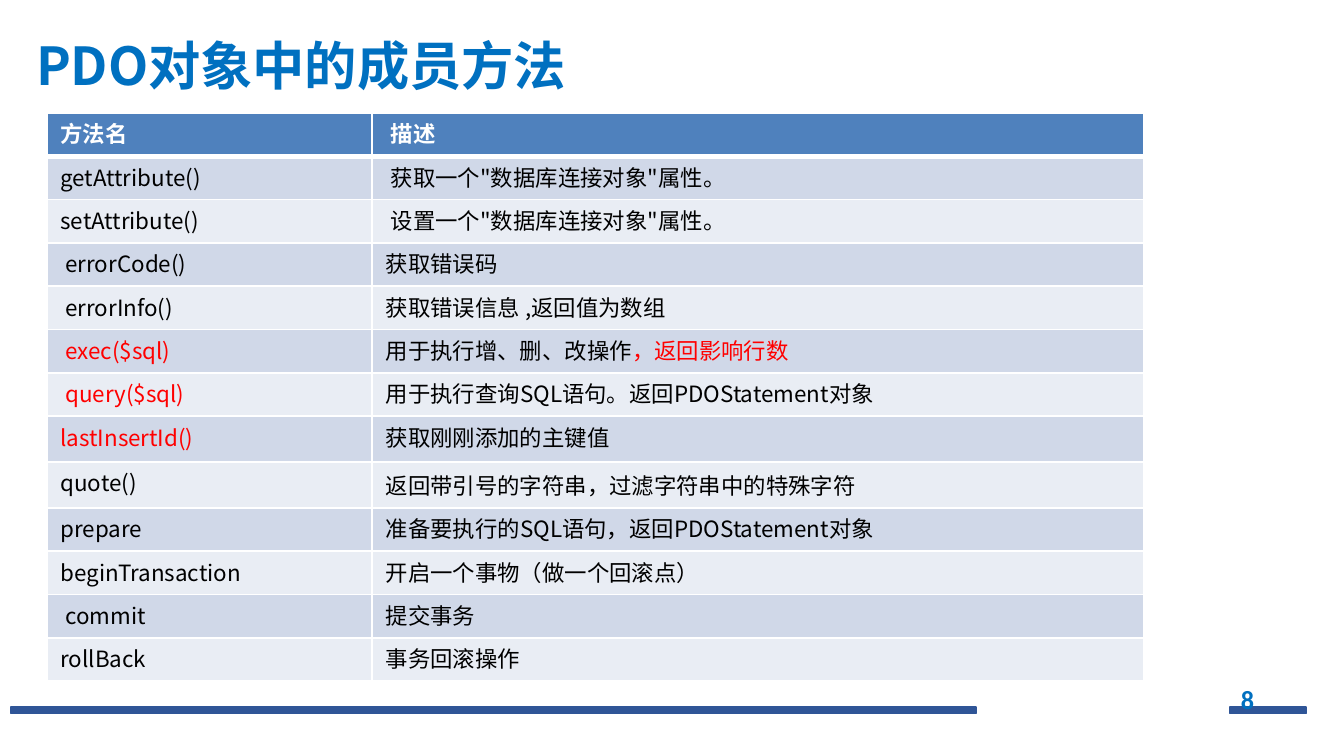
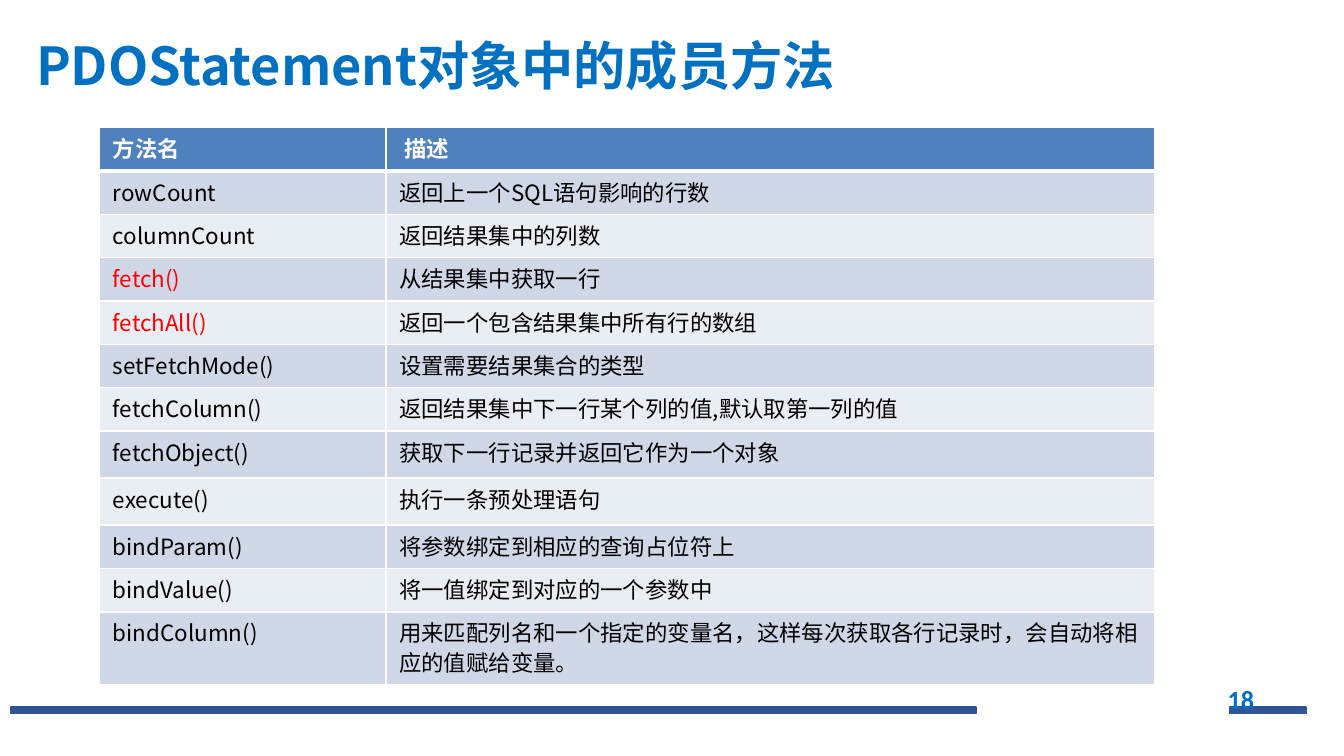
from dataclasses import dataclass

from lxml.etree import SubElement
from pptx import Presentation
from pptx.dml.color import RGBColor
from pptx.enum.shapes import MSO_SHAPE
from pptx.enum.text import MSO_ANCHOR, PP_ALIGN
from pptx.oxml.ns import qn
from pptx.util import Inches, Pt

TITLE_BLUE = RGBColor(0x00, 0x70, 0xC0)
BAR_BLUE = RGBColor(0x2F, 0x55, 0x97)
HEADER_BLUE = RGBColor(0x4F, 0x81, 0xBD)
BAND_DARK = RGBColor(0xD0, 0xD8, 0xE8)
BAND_LIGHT = RGBColor(0xE9, 0xED, 0xF4)
WHITE = RGBColor(0xFF, 0xFF, 0xFF)
BLACK = RGBColor(0x00, 0x00, 0x00)
RED = RGBColor(0xFF, 0x00, 0x00)

BODY_FONT = "Noto Sans CJK SC"
NUMBER_FONT = "Calibri"
ROW_HEIGHT = 0.32
HEADINGS = ("方法名", " 描述")

TITLE_BOX = (0.17, 0.01, 9, 0.94)
NUMBER_BOX = (7.1, 5.05, 2.33, 0.3)
FOOTER_BARS = ((0.08, 5.26, 7.18, 0.05), (9.15, 5.26, 0.57, 0.05))


@dataclass
class Method:
    name: str
    description: str
    key: bool = False
    key_result: str = ""
    height: float = ROW_HEIGHT
    fixed_spacing: bool = True


PDO_METHODS = (
    Method("getAttribute()", " 获取一个\"数据库连接对象\"属性。"),
    Method("setAttribute()", " 设置一个\"数据库连接对象\"属性。"),
    Method(" errorCode()", "获取错误码"),
    Method(" errorInfo()", "获取错误信息 ,返回值为数组"),
    Method(" exec($sql)", "用于执行增、删、改操作", key=True, key_result="，返回影响行数"),
    Method(" query($sql)", "用于执行查询SQL语句。返回PDOStatement对象", key=True),
    Method("lastInsertId()", "获取刚刚添加的主键值", key=True, height=0.34),
    Method("quote()", "返回带引号的字符串，过滤字符串中的特殊字符", fixed_spacing=False),
    Method("prepare", "准备要执行的SQL语句，返回PDOStatement对象"),
    Method("beginTransaction", "开启一个事物（做一个回滚点）"),
    Method(" commit", "提交事务"),
    Method("rollBack", "事务回滚操作"),
)

STATEMENT_METHODS = (
    Method("rowCount", "返回上一个SQL语句影响的行数"),
    Method("columnCount", "返回结果集中的列数"),
    Method("fetch()", "从结果集中获取一行", key=True),
    Method("fetchAll()", "返回一个包含结果集中所有行的数组", key=True),
    Method("setFetchMode()", "设置需要结果集合的类型"),
    Method("fetchColumn()", "返回结果集中下一行某个列的值,默认取第一列的值"),
    Method("fetchObject()", "获取下一行记录并返回它作为一个对象", height=0.35),
    Method("execute()", "执行一条预处理语句", height=0.35),
    Method("bindParam()", "将参数绑定到相应的查询占位符上"),
    Method("bindValue()", "将一值绑定到对应的一个参数中"),
    Method(
        "bindColumn()",
        "用来匹配列名和一个指定的变量名，这样每次获取各行记录时，会自动将相应的值赋给变量。",
        height=0.54,
    ),
)


def to_inches(box):
    return [Inches(length) for length in box]


def style_paragraph(paragraph, size, color, bold, typeface=BODY_FONT):
    font = paragraph.font
    font.size = Pt(size)
    font.bold = bold
    font.color.rgb = color
    font.name = typeface
    defaults = paragraph._p.pPr.find(qn("a:defRPr"))
    SubElement(defaults, qn("a:ea"), typeface=typeface)


def add_label(slide, box, text, size, typeface, align):
    frame = slide.shapes.add_textbox(*to_inches(box)).text_frame
    frame.word_wrap = True
    frame.vertical_anchor = MSO_ANCHOR.MIDDLE
    paragraph = frame.paragraphs[0]
    paragraph.text = text
    paragraph.alignment = align
    style_paragraph(paragraph, size, TITLE_BLUE, True, typeface)


def add_footer_bars(slide):
    for box in FOOTER_BARS:
        bar = slide.shapes.add_shape(MSO_SHAPE.RECTANGLE, *to_inches(box))
        bar.shadow.inherit = False
        bar.fill.solid()
        bar.fill.fore_color.rgb = BAR_BLUE
        bar.line.color.rgb = BAR_BLUE
        bar.line.width = Pt(1)


def paint_cell(cell, fill, top=1, bottom=1):
    properties = cell._tc.get_or_add_tcPr()
    for side, width in (("L", 1), ("R", 1), ("T", top), ("B", bottom)):
        border = SubElement(properties, qn(f"a:ln{side}"), w=str(Pt(width)))
        SubElement(SubElement(border, qn("a:solidFill")), qn("a:srgbClr"), val=str(WHITE))
    cell.fill.solid()
    cell.fill.fore_color.rgb = fill


def write_cell(cell, text, color=BLACK, bold=False, fixed_spacing=True):
    paragraph = cell.text_frame.paragraphs[0]
    paragraph.text = text
    if fixed_spacing:
        paragraph.line_spacing = Pt(16)
    style_paragraph(paragraph, 12, color, bold)
    return paragraph


def add_method_table(slide, left, top, widths, methods):
    heights = [ROW_HEIGHT] + [method.height for method in methods]
    box = to_inches((left, top, sum(widths), sum(heights)))
    table = slide.shapes.add_table(len(heights), len(widths), *box).table
    for column, width in zip(table.columns, widths):
        column.width = Inches(width)
    for row, height in zip(table.rows, heights):
        row.height = Inches(height)

    for cell, heading in zip(table.rows[0].cells, HEADINGS):
        paint_cell(cell, HEADER_BLUE, bottom=3)
        write_cell(cell, heading, WHITE, True)

    for index, method in enumerate(methods, start=1):
        name_cell, description_cell = table.rows[index].cells
        for cell in (name_cell, description_cell):
            paint_cell(cell, BAND_DARK if index % 2 else BAND_LIGHT, top=3 if index == 1 else 1)
        write_cell(name_cell, method.name, RED if method.key else BLACK)
        description = write_cell(
            description_cell, method.description, fixed_spacing=method.fixed_spacing
        )
        if method.key_result:
            result = description.add_run()
            result.text = method.key_result
            result.font.color.rgb = RED


def add_method_slide(deck, title, number, left, top, widths, methods):
    slide = deck.slides.add_slide(deck.slide_layouts[6])
    add_footer_bars(slide)
    add_method_table(slide, left, top, widths, methods)
    add_label(slide, TITLE_BOX, title, 28, BODY_FONT, PP_ALIGN.LEFT)
    add_label(slide, NUMBER_BOX, number, 14, NUMBER_FONT, PP_ALIGN.RIGHT)


def main():
    deck = Presentation()
    deck.slide_width = Inches(10)
    deck.slide_height = deck.slide_width * 9 // 16
    add_method_slide(deck, "PDO对象中的成员方法", "8", 0.35, 0.84, (2.42, 5.74), PDO_METHODS)
    add_method_slide(
        deck, "PDOStatement对象中的成员方法", "18", 0.74, 0.95, (2.13, 5.72), STATEMENT_METHODS
    )
    deck.save("out.pptx")


if __name__ == "__main__":
    main()
